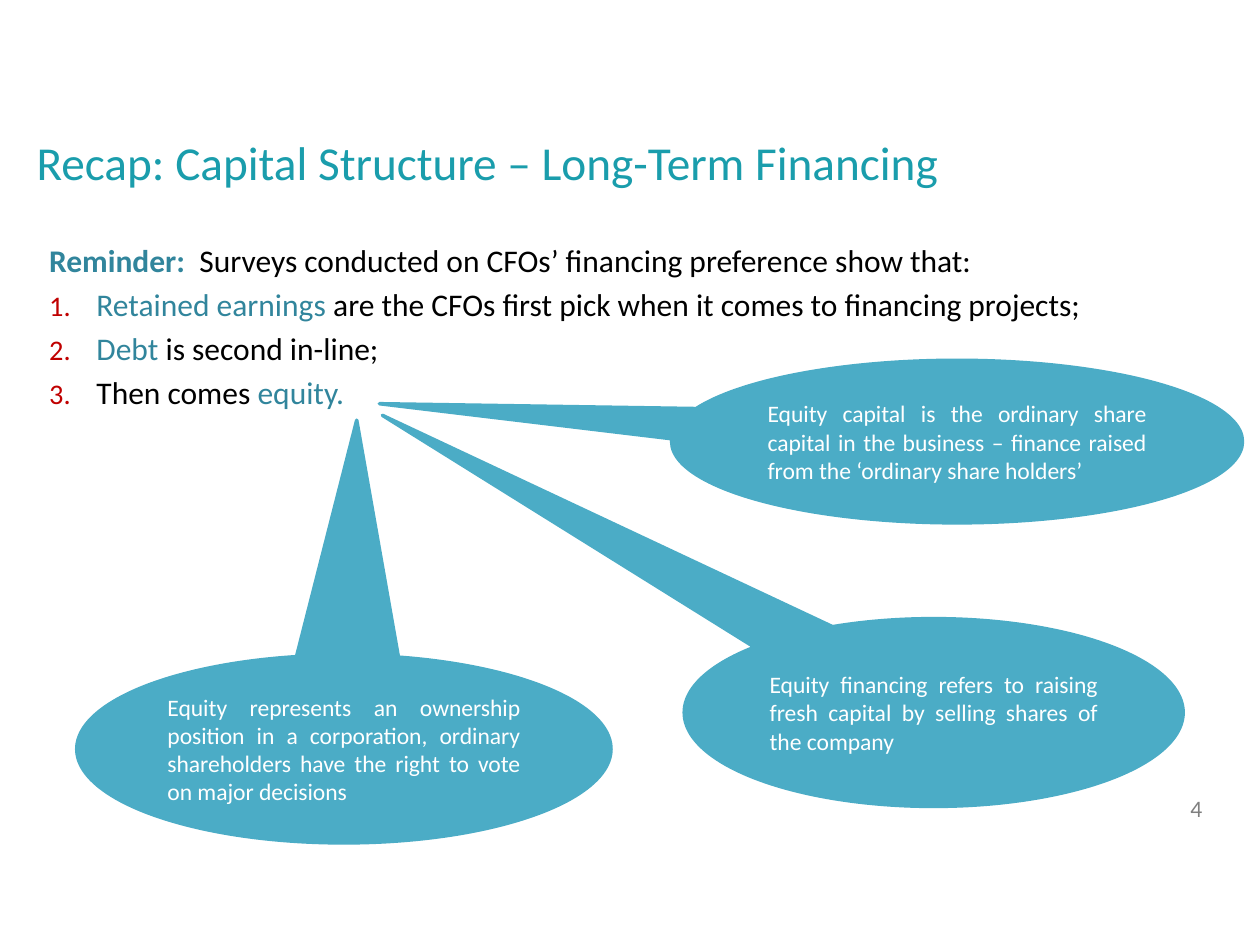
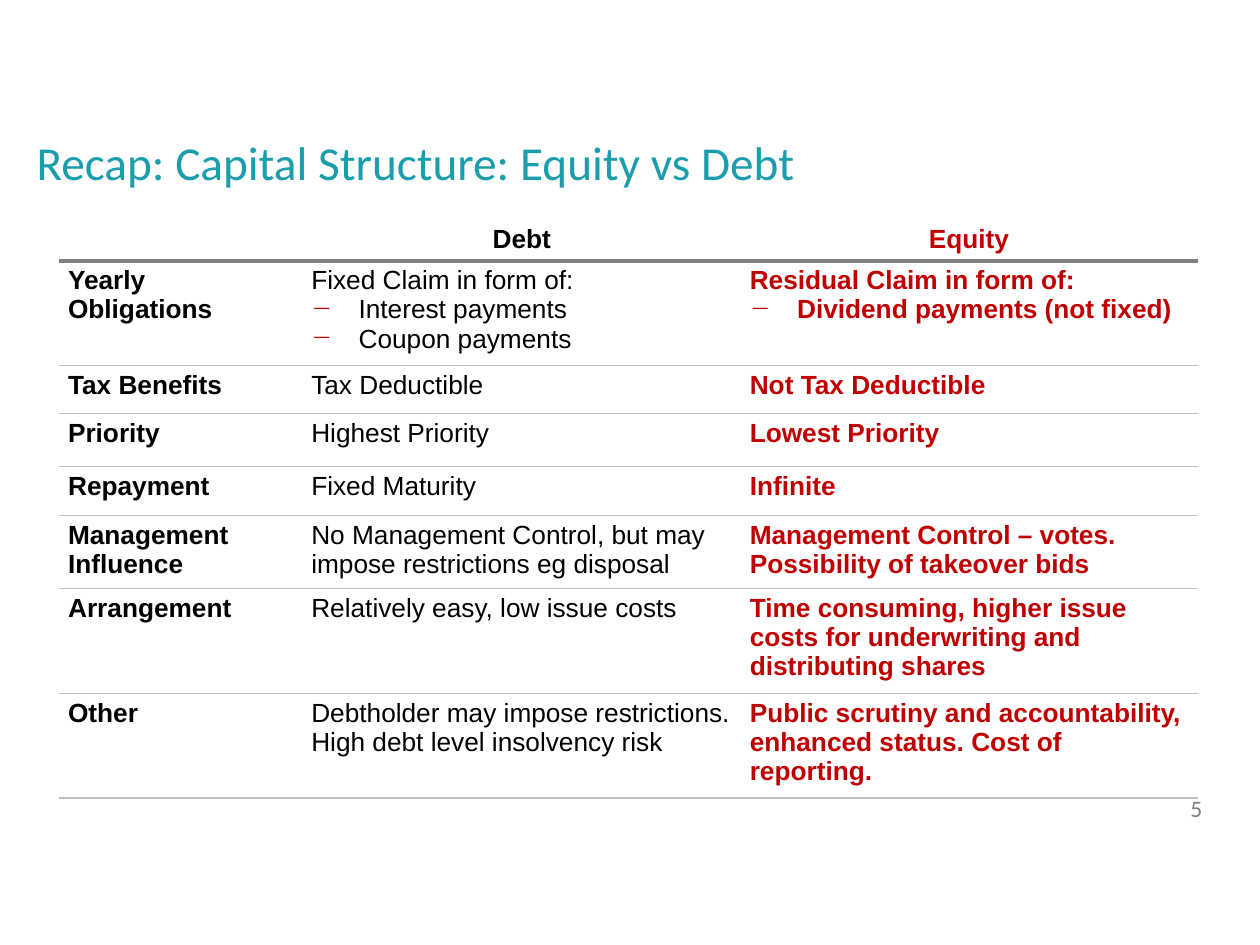
from lxml import etree
from pptx import Presentation
from pptx.dml.color import RGBColor
from pptx.enum import shapes, text
from pptx.oxml.ns import qn
from pptx.util import Pt

TITLE_TEAL = RGBColor(0x1A, 0x9D, 0xAC)
KEYWORD_TEAL = RGBColor(0x31, 0x85, 0x9C)
CALLOUT_BLUE = RGBColor(0x4B, 0xAC, 0xC6)
RED = RGBColor(0xC0, 0x00, 0x00)
BLACK = RGBColor(0x00, 0x00, 0x00)
WHITE = RGBColor(0xFF, 0xFF, 0xFF)
NUMBER_GREY = RGBColor(0x80, 0x80, 0x80)
RULE_GREY = RGBColor(0xBF, 0xBF, 0xBF)

HEADING_FONT, TABLE_FONT = "Calibri", "Arial"
TABLE_SIZE = 15
LIST_INDENT = 27
TITLE_LAYOUT, LIST_LAYOUT = 5, 1

REMINDER = [
    [("Reminder:  ", KEYWORD_TEAL, True),
     ("Surveys conducted on CFOs’ financing preference show that:", BLACK, False)],
    [("Retained earnings ", KEYWORD_TEAL, False),
     ("are the CFOs first pick when it comes to financing projects;", BLACK, False)],
    [("Debt ", KEYWORD_TEAL, False), ("is second in-line;", BLACK, False)],
    [("Then comes ", BLACK, False), ("equity.", KEYWORD_TEAL, False)],
]

# Box (left, top, width, height), tip offset from the centre, words
CALLOUTS = [
    ((43.9, 374.4, 305.3, 107.3), (0.024, -1.752),
     "Equity represents an ownership position in a corporation, ordinary "
     "shareholders have the right to vote on major decisions"),
    ((391, 353.5, 285.1, 107.3), (-1.105, -1.583),
     "Equity financing refers to raising fresh capital by selling shares of the company"),
    ((383.8, 205.9, 326.2, 92.9), (-1.012, -0.233),
     "Equity capital is the ordinary share capital in the business – finance "
     "raised from the ‘ordinary share holders’"),
]

# The first line of a cell is plain, the lines after it are dashed
COMPARISON = [
    ([], ["Debt"], ["Equity"]),
    (["Yearly Obligations"],
     ["Fixed Claim in form of:", "Interest payments", "Coupon payments"],
     ["Residual Claim in form of:", "Dividend payments (not fixed)"]),
    (["Tax Benefits"], ["Tax Deductible"], ["Not Tax Deductible"]),
    (["Priority"], ["Highest Priority"], ["Lowest Priority"]),
    (["Repayment"], ["Fixed Maturity"], ["Infinite"]),
    (["Management Influence"],
     ["No Management Control, but may impose restrictions eg disposal"],
     ["Management Control – votes. Possibility of takeover bids"]),
    (["Arrangement"], ["Relatively easy, low issue costs"],
     ["Time consuming, higher issue costs for underwriting and distributing shares"]),
    (["Other"],
     ["Debtholder may impose restrictions. High debt level insolvency risk"],
     ["Public scrutiny and accountability, enhanced status. Cost of reporting."]),
]
COLUMN_WIDTHS = [139, 250.6, 260.6]
ROW_HEIGHTS = [23.8, 59, 27.4, 30.2, 28.1, 41, 41, 41]


def place(shape, box):
    shape.left, shape.top, shape.width, shape.height = map(Pt, box)


def add_span(para, words, font, size, color, bold=False):
    span = para.add_run()
    span.text = words
    span.font.name = font
    span.font.size = Pt(size)
    span.font.bold = bold
    span.font.color.rgb = color


def paragraphs(frame, count):
    """Return the frame's first paragraph followed by new ones."""
    return [frame.paragraphs[0]] + [frame.add_paragraph() for _ in range(count - 1)]


def set_bullet(para, tag, indent=0, size=None, **attributes):
    """Set a bullet element such as buNone, buChar or buAutoNum."""
    properties = para._p.get_or_add_pPr()
    properties.set("marL", str(Pt(indent)))
    properties.set("indent", str(-Pt(indent)))
    if indent:
        color = etree.SubElement(properties, qn("a:buClr"))
        etree.SubElement(color, qn("a:srgbClr"), val=str(RED))
    if size:
        etree.SubElement(properties, qn("a:buSzPct"), val=str(size * 1000))
    etree.SubElement(properties, qn(f"a:{tag}"), **attributes)


def add_page(deck, layout, title, number):
    """Add a slide with the shared title and page number."""
    page = deck.slides.add_slide(deck.slide_layouts[layout])
    place(page.shapes.title, (20.9, 76.3, 620.6, 49.7))
    frame = page.shapes.title.text_frame
    frame.margin_left = frame.margin_top = frame.margin_right = frame.margin_bottom = 0
    frame.vertical_anchor = text.MSO_ANCHOR.TOP
    frame.auto_size = text.MSO_AUTO_SIZE.NONE
    para = frame.paragraphs[0]
    para.alignment = text.PP_ALIGN.LEFT
    add_span(para, title, HEADING_FONT, 27, TITLE_TEAL)

    number_box = page.shapes.add_textbox(*map(Pt, (673.2, 450, 53.3, 31.7)))
    number_box.text_frame.word_wrap = True
    add_span(number_box.text_frame.paragraphs[0], number, HEADING_FONT, 13.5, NUMBER_GREY)
    return page


def fill_reminder(body, box):
    place(body, box)
    frame = body.text_frame
    frame.auto_size = text.MSO_AUTO_SIZE.NONE
    frame.vertical_anchor = text.MSO_ANCHOR.TOP
    for index, (para, spans) in enumerate(zip(paragraphs(frame, len(REMINDER)), REMINDER)):
        if index:
            set_bullet(para, "buAutoNum", LIST_INDENT, 90, type="arabicPeriod")
        else:
            set_bullet(para, "buNone")
        para.space_before = Pt(3.6 if index else 0)
        for words, color, bold in spans:
            add_span(para, words, HEADING_FONT, 18, color, bold)


def add_callout(page, box, tip, words):
    callout = page.shapes.add_shape(shapes.MSO_SHAPE.OVAL_CALLOUT, *map(Pt, box))
    callout.shadow.inherit = False
    callout.adjustments[0], callout.adjustments[1] = tip
    callout.fill.solid()
    callout.fill.fore_color.rgb = CALLOUT_BLUE
    callout.line.color.rgb = CALLOUT_BLUE
    callout.line.width = Pt(2)
    frame = callout.text_frame
    frame.word_wrap = True
    frame.vertical_anchor = text.MSO_ANCHOR.MIDDLE
    para = frame.paragraphs[0]
    para.alignment = text.PP_ALIGN.JUSTIFY
    add_span(para, words, HEADING_FONT, 13.5, WHITE)


def add_rule(cell, side, below_header):
    """Draw the cell's top (lnT) or bottom (lnB) border."""
    width, color = (2.25, NUMBER_GREY) if below_header else (1, RULE_GREY)
    line = etree.SubElement(cell._tc.get_or_add_tcPr(), qn(f"a:{side}"), w=str(Pt(width)))
    fill = etree.SubElement(line, qn("a:solidFill"))
    etree.SubElement(fill, qn("a:srgbClr"), val=str(color))


def fill_cell(cell, lines, row, column):
    cell.margin_left = cell.margin_right = Pt(5)
    cell.margin_top = cell.margin_bottom = Pt(2.9)
    if row:
        add_rule(cell, "lnT", row == 1)
    add_rule(cell, "lnB", row == 0)
    cell.fill.background()
    frame = cell.text_frame
    if not lines:
        etree.SubElement(frame.paragraphs[0]._p, qn("a:endParaRPr"), sz=str(TABLE_SIZE * 100))
        return
    color = RED if column == 2 else BLACK
    bold = row == 0 or column != 1
    for index, (para, words) in enumerate(zip(paragraphs(frame, len(lines)), lines)):
        if index:
            set_bullet(para, "buChar", LIST_INDENT, char="─")
        if row == 0:
            para.alignment = text.PP_ALIGN.CENTER
        add_span(para, words, TABLE_FONT, TABLE_SIZE, color, bold)


def add_comparison(page, left, top):
    box = (left, top, sum(COLUMN_WIDTHS), sum(ROW_HEIGHTS))
    table = page.shapes.add_table(len(ROW_HEIGHTS), len(COLUMN_WIDTHS), *map(Pt, box)).table
    table.first_row = table.horz_banding = False
    for column, width in zip(table.columns, COLUMN_WIDTHS):
        column.width = Pt(width)
    for row, height in zip(table.rows, ROW_HEIGHTS):
        row.height = Pt(height)
    for row, entries in enumerate(COMPARISON):
        for column, lines in enumerate(entries):
            fill_cell(table.cell(row, column), lines, row, column)


def main():
    deck = Presentation()
    deck.slide_width, deck.slide_height = Pt(720), Pt(540)

    page = add_page(deck, LIST_LAYOUT, "Recap: Capital Structure – Long-Term Financing", "4")
    fill_reminder(page.placeholders[1], (20.9, 133.9, 687.6, 112.3))
    for box, tip, words in CALLOUTS:
        add_callout(page, box, tip, words)

    page = add_page(deck, TITLE_LAYOUT, "Recap: Capital Structure: Equity vs Debt", "5")
    add_comparison(page, 33.9, 125.3)

    deck.save("out.pptx")


if __name__ == "__main__":
    main()
